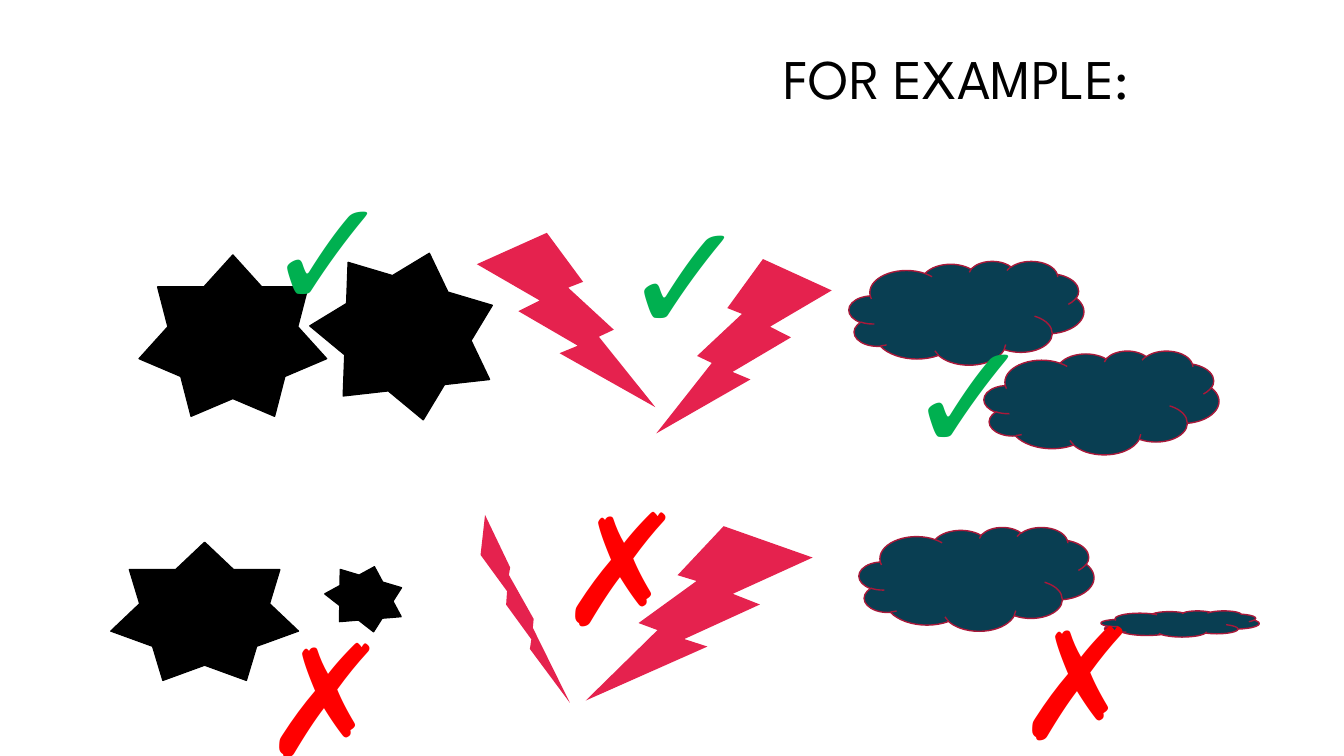
import pptx
import pptx.util
import pptx.dml.color
import pptx.enum.shapes
import pptx.enum.text

Inches = pptx.util.Inches
Pt = pptx.util.Pt
RGBColor = pptx.dml.color.RGBColor
SHAPE = pptx.enum.shapes.MSO_SHAPE
ALIGN = pptx.enum.text.PP_ALIGN
ANCHOR = pptx.enum.text.MSO_ANCHOR
SIZING = pptx.enum.text.MSO_AUTO_SIZE

FONT = "League Spartan"
BLACK = RGBColor(0, 0, 0)
PINK = RGBColor(0xE5, 0x22, 0x4E)
NAVY = RGBColor(0x09, 0x3E, 0x52)
WINE = RGBColor(0xA9, 0x19, 0x3A)
GREEN = RGBColor(0x00, 0xB0, 0x50)
RED = RGBColor(0xFF, 0x00, 0x00)

TILT = 16.6

# left, top, width, height, rotation
STARS = [
    (1.38, 2.53, 1.86, 1.6, 0),
    (3.1, 2.48, 1.86, 1.6, TILT),
    (1.1, 5.38, 1.86, 1.37, 0),
    (3.23, 5.61, 0.79, 0.62, TILT),
]
# left, top, width, height, rotation, mirrored
BOLTS = [
    (4.73, 2.31, 1.77, 1.73, 0, False),
    (6.51, 2.57, 1.74, 1.73, 0, True),
    (5.81, 5.22, 2.25, 1.73, 0, True),
    (4.95, 5.05, 0.41, 2.03, 342.7, False),
]
# left, top, width, height
CLOUDS = [
    (8.42, 2.59, 2.33, 1.03),
    (9.76, 3.48, 2.33, 1.03),
    (8.52, 5.23, 2.33, 1.03),
    (10.92, 6.06, 1.57, 0.26),
]
# left, top, width
TICKS = [(2.53, 1.49, 1.43), (6.07, 1.73, 0.47), (8.88, 2.91, 0.47)]
CROSSES = [(2.5, 5.92, 1.52), (5.43, 4.62, 1.52), (9.96, 5.75, 1.52)]
MARK_HEIGHT = 1.96


def add_run(para, text, size, color):
    run = para.add_run()
    run.text = text
    run.font.name = FONT
    run.font.size = Pt(size)
    run.font.color.rgb = color


def set_title(slide, text):
    title = slide.shapes.title
    title.left, title.top = Inches(0.95), Inches(0.08)
    title.width, title.height = Inches(10.35), Inches(1.45)
    frame = title.text_frame
    frame.auto_size = SIZING.NONE
    frame.vertical_anchor = ANCHOR.MIDDLE
    para = frame.paragraphs[0]
    para.alignment = ALIGN.RIGHT
    para.line_spacing = 0.9
    add_run(para, text, 40, BLACK)


def add_form(slide, kind, box, fill, line=None, turn=0, flip=False):
    """Add a filled preset shape, outlined only if a line colour is given."""
    form = slide.shapes.add_shape(kind, *map(Inches, box))
    form.shadow.inherit = False
    form.fill.solid()
    form.fill.fore_color.rgb = fill
    if line is None:
        form.line.fill.background()
    else:
        form.line.color.rgb = line
        form.line.width = Pt(1)
    form.rotation = turn
    if flip:
        form.element.spPr.xfrm.set("flipH", "1")


def add_mark(slide, sign, left, top, width, color):
    box = slide.shapes.add_textbox(
        Inches(left), Inches(top), Inches(width), Inches(MARK_HEIGHT))
    frame = box.text_frame
    frame.word_wrap = True
    frame.auto_size = SIZING.SHAPE_TO_FIT_TEXT
    add_run(frame.paragraphs[0], sign, 110.4, color)


def main():
    deck = pptx.Presentation()
    deck.slide_width, deck.slide_height = Inches(13.33), Inches(7.5)
    slide = deck.slides.add_slide(deck.slide_layouts[5])
    set_title(slide, "FOR EXAMPLE:")
    for *box, turn in STARS:
        add_form(slide, SHAPE.STAR_7_POINT, box, BLACK, BLACK, turn)
    for *box, turn, flip in BOLTS:
        add_form(slide, SHAPE.LIGHTNING_BOLT, box, PINK, turn=turn, flip=flip)
    for box in CLOUDS:
        add_form(slide, SHAPE.CLOUD, box, NAVY, WINE)
    for sign, spots, color in (("✓", TICKS, GREEN), ("✗", CROSSES, RED)):
        for spot in spots:
            add_mark(slide, sign, *spot, color)
    deck.save("out.pptx")


if __name__ == "__main__":
    main()
